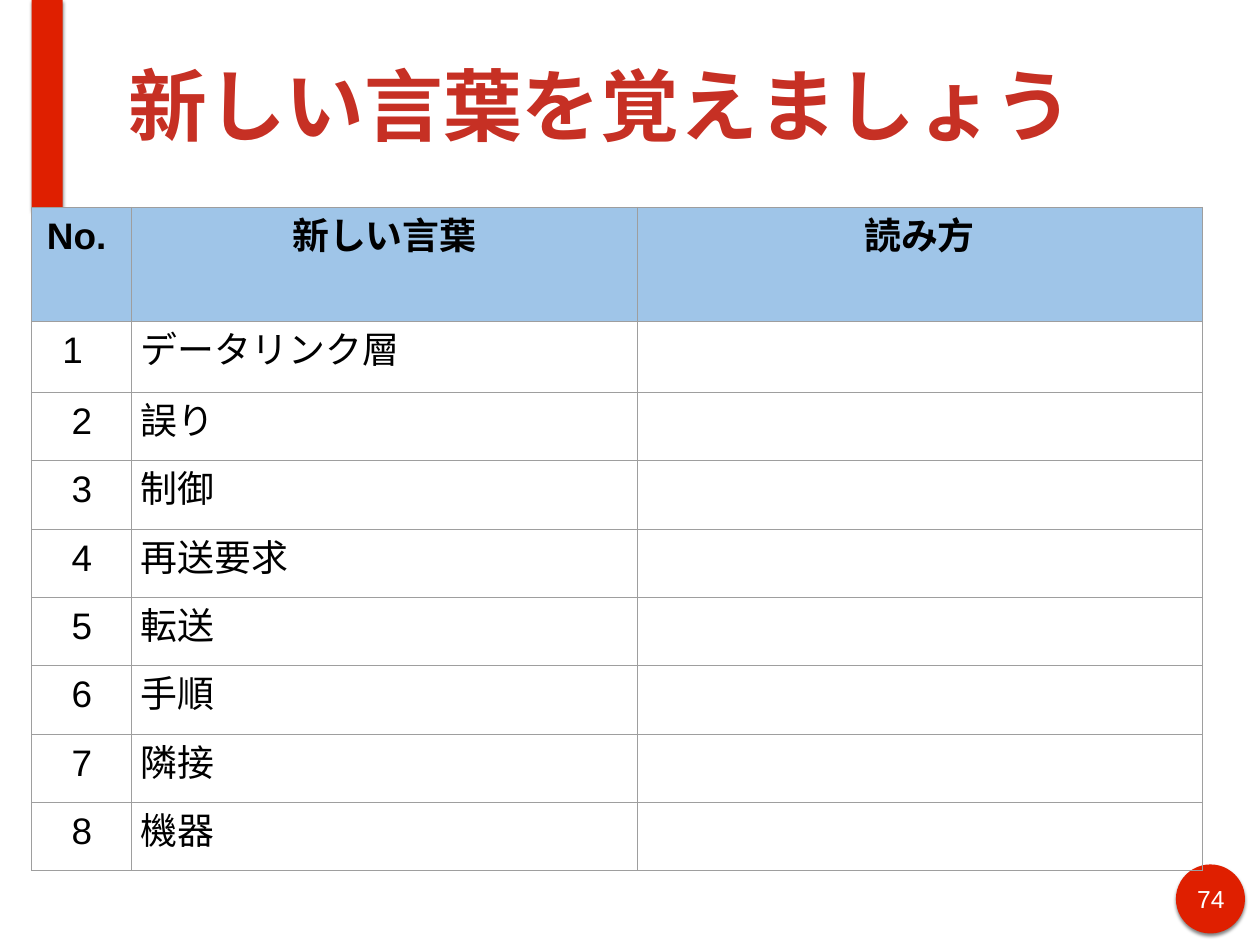
from lxml.etree import SubElement
from pptx import Presentation
from pptx.dml.color import RGBColor
from pptx.enum.shapes import MSO_SHAPE
from pptx.enum.text import MSO_ANCHOR, PP_ALIGN
from pptx.oxml import parse_xml
from pptx.oxml.ns import nsdecls, qn
from pptx.util import Cm, Pt

hues = {"red": "DF1F00", "title": "C63024", "head": "9FC5E8",
        "line": "9E9E9E", "ink": "000000", "white": "FFFFFF"}
words = ["データリンク層", "誤り", "制御", "再送要求", "転送", "手順", "隣接", "機器"]
rows = [["No. ", "新しい言葉", "読み方"]]
rows += [[str(n), word, ""] for n, word in enumerate(words, 1)]


def write(frame, text, size, hue, bold=False, align=PP_ALIGN.LEFT):
    para = frame.paragraphs[0]
    para.alignment = align
    run = para.add_run()
    run.text = text
    font = run.font
    font.name = "Arial"
    font.size = Pt(size)
    font.bold = bold
    SubElement(font._element, qn("a:ea"), typeface="Arial")
    font.color.rgb = RGBColor.from_string(hues[hue])
    return para


def add_box(left, top, width, height):
    box = slide.shapes.add_textbox(Cm(left), Cm(top), Cm(width), Cm(height))
    frame = box.text_frame
    frame.word_wrap = True
    frame.vertical_anchor = MSO_ANCHOR.MIDDLE
    frame.margin_left = frame.margin_right = Cm(0.15)
    frame.margin_top = frame.margin_bottom = Cm(0.15)
    return frame


deck = Presentation()
deck.slide_width, deck.slide_height = Cm(36.12), Cm(27.1)
slide = deck.slides.add_slide(deck.slide_layouts[6])

for kind, left, top, width, height in [
    (MSO_SHAPE.OVAL, 33.71, 24.79, 1.98, 1.98),
    (MSO_SHAPE.RECTANGLE, 0.91, 0, 0.89, 6),
]:
    shape = slide.shapes.add_shape(kind, Cm(left), Cm(top), Cm(width), Cm(height))
    shape.fill.solid()
    shape.fill.fore_color.rgb = RGBColor.from_string(hues["red"])
    shape.line.fill.background()
    shape.shadow.inherit = False
    glow = shape._element.spPr.find(qn("a:effectLst"))
    glow.append(parse_xml(
        f'<a:outerShdw {nsdecls("a")} blurRad="{Pt(3)}" dist="{Pt(2)}" dir="5400000" '
        f'rotWithShape="0"><a:srgbClr val="{hues["ink"]}"><a:alpha val="50000"/>'
        '</a:srgbClr></a:outerShdw>'))

write(add_box(34.09, 25.27, 1.24, 0.99), "74", 20, "white", align=PP_ALIGN.CENTER)

grid = slide.shapes.add_table(len(rows), 3, Cm(0.91), Cm(5.94), Cm(33.55), Cm(19.03)).table
grid.first_row = grid.horz_banding = False
for col, width in zip(grid.columns, [2.87, 14.48, 16.2]):
    col.width = Cm(width)
for row, height in zip(grid.rows, [3.28, 2.03] + [1.96] * 7):
    row.height = Cm(height)

for r, row in enumerate(rows):
    for c, text in enumerate(row):
        cell = grid.cell(r, c)
        cell.margin_left = cell.margin_right = Cm(0.25)
        cell.margin_top = cell.margin_bottom = Cm(0.25)
        props = cell._tc.get_or_add_tcPr()
        for side in "LRTB":
            props.append(parse_xml(
                f'<a:ln{side} {nsdecls("a")} w="{Pt(0.75)}"><a:solidFill>'
                f'<a:srgbClr val="{hues["line"]}"/></a:solidFill></a:ln{side}>'))
        if r == 0:
            cell.fill.solid()
            cell.fill.fore_color.rgb = RGBColor.from_string(hues["head"])
        else:
            cell.fill.background()
        if text:
            mid = r == 0 or (c == 0 and r > 1)
            align = PP_ALIGN.CENTER if mid else PP_ALIGN.LEFT
            para = write(cell.text_frame, text, 30, "ink", r == 0, align)
            if (r, c) == (1, 0):
                indent = para._p.get_or_add_pPr()
                indent.set("marL", str(Cm(1.27)))
                indent.set("indent", str(Cm(-0.64)))

write(add_box(3.53, 0.3, 30.84, 5.38), "新しい言葉を覚えましょう", 64, "title", True)

deck.save("out.pptx")
